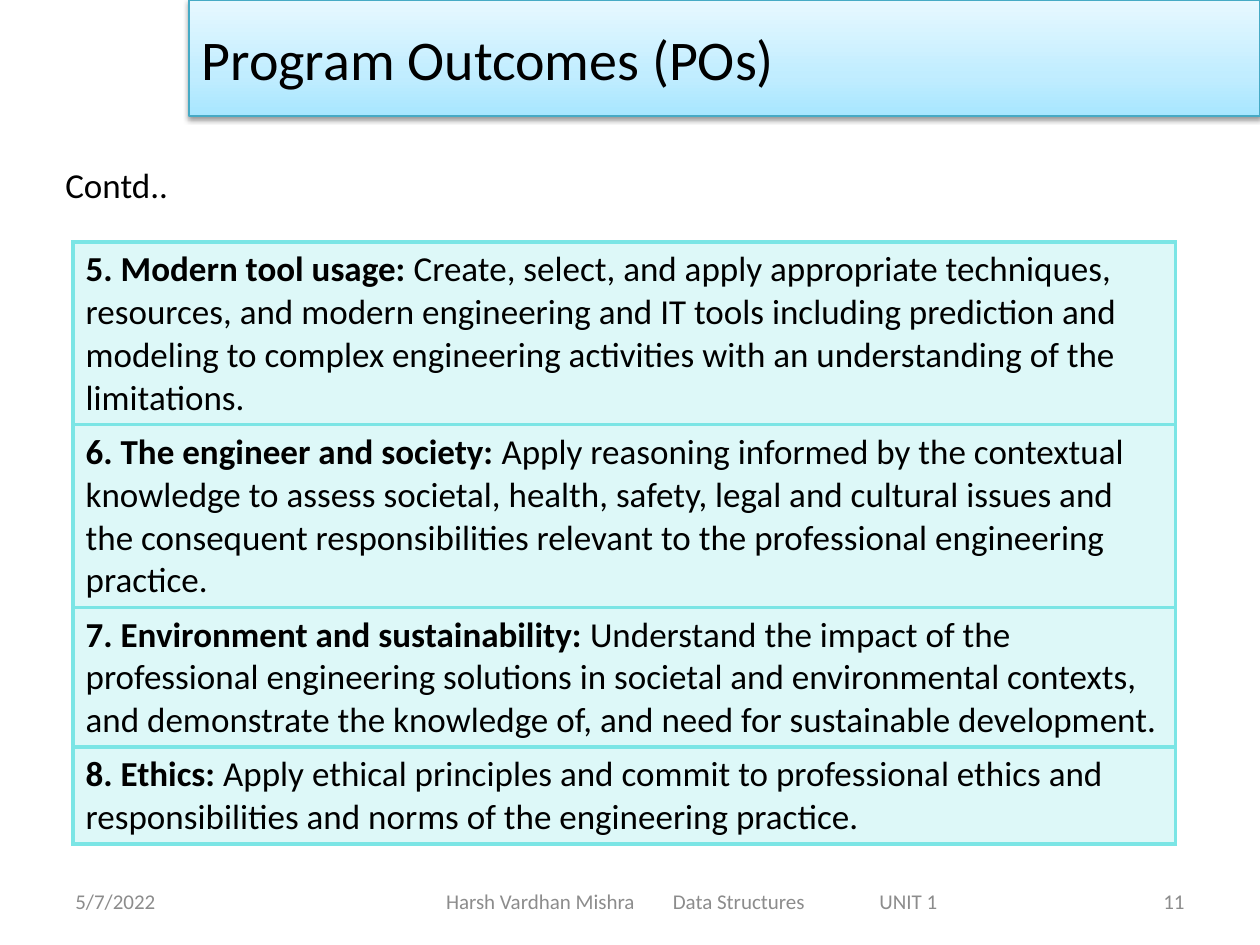
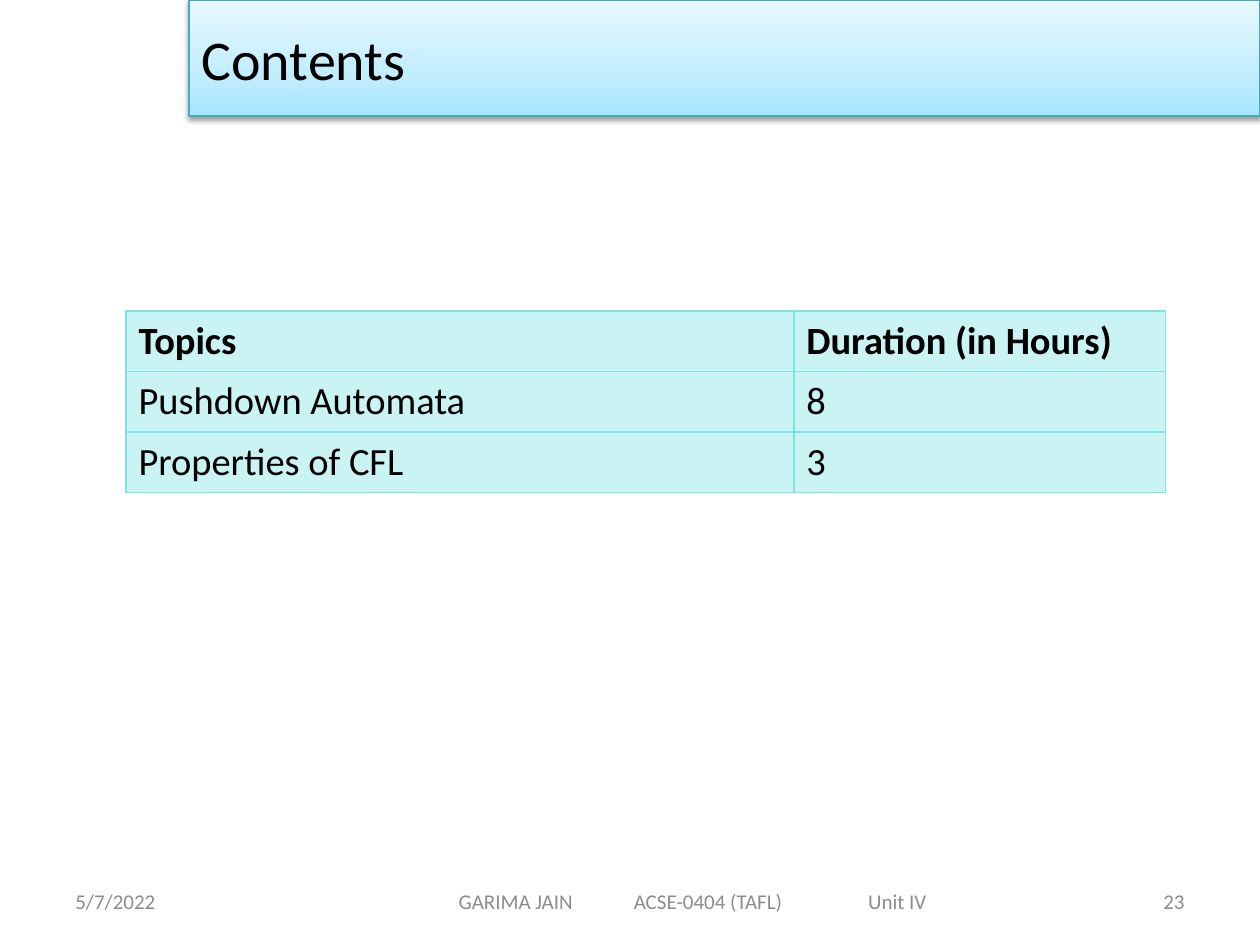
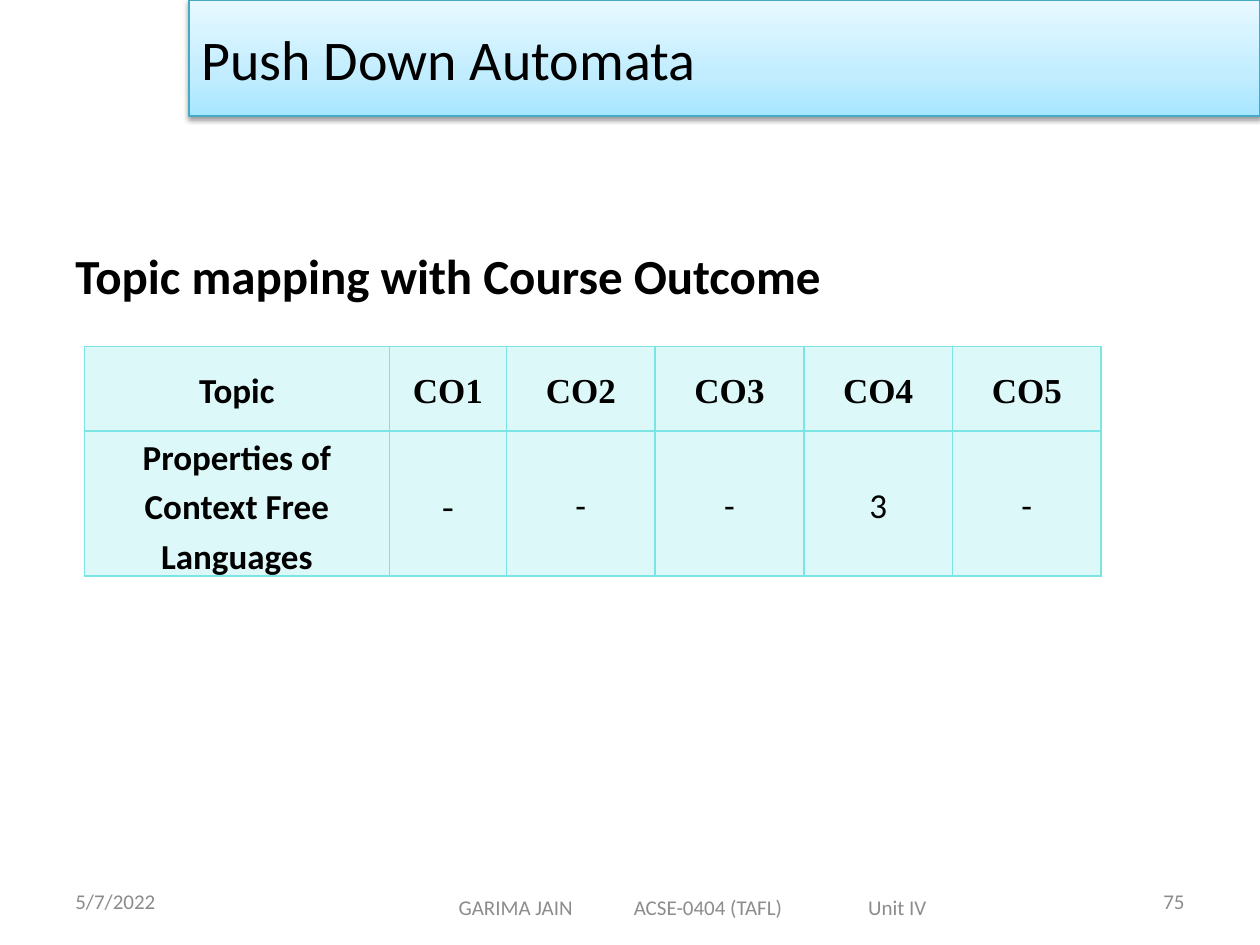
from dataclasses import dataclass

from pptx import Presentation
from pptx.dml.color import RGBColor
from pptx.enum.text import MSO_ANCHOR, MSO_AUTO_SIZE, PP_ALIGN
from pptx.oxml import parse_xml
from pptx.oxml.ns import nsdecls, qn
from pptx.util import Inches, Pt

# The page is a grid of 10 columns by 7.5 rows.
COLUMNS, ROWS = 10, 7.5
WIDTH, HEIGHT = Inches(10), Inches(7.5)
TITLE_ONLY = 5


@dataclass(frozen=True)
class Theme:
    font: str = "Calibri"
    code_font: str = "Times New Roman"
    ink: str = "000000"
    muted: str = "8C8C8C"
    aqua: str = "7BE5E5"
    band_line: str = "46AAC5"
    band_stops: tuple = ((0, "A7E6FF"), (35, "C1EDFF"), (100, "E7F8FF"))
    title_size: int = 32
    heading_size: int = 28
    contents_size: int = 22
    body_size: int = 20
    footer_size: int = 12


THEME = Theme()
DATE = "5/7/2022"
COURSE_FOOTER = (("GARIMA JAIN", "ACSE-0404 (TAFL)", "Unit IV"), (0.79, 2.18, 4.04))

OUTCOMES = [
    ("5. Modern tool usage: ",
     "Create, select, and apply appropriate techniques, resources, and modern engineering "
     "and IT tools including prediction and modeling to complex engineering activities "
     "with an understanding of the limitations."),
    ("6. The engineer and society:",
     " Apply reasoning informed by the contextual knowledge to assess societal, health, "
     "safety, legal and cultural issues and the consequent responsibilities relevant to "
     "the professional engineering practice."),
    ("7. Environment and sustainability: ",
     "Understand the impact of the professional engineering solutions in societal and "
     "environmental contexts, and demonstrate the knowledge of, and need for sustainable "
     "development."),
    ("8. Ethics:",
     " Apply ethical principles and commit to professional ethics and responsibilities "
     "and norms of the engineering practice."),
]
TOPICS = [
    ("Topics", "Duration (in Hours)"),
    ("Pushdown Automata", "8"),
    ("Properties of CFL", "3"),
]
MAPPING = [
    ("Topic", "CO1", "CO2", "CO3", "CO4", "CO5"),
    ("Properties of Context Free Languages", "-", "-", "-", "3", "-"),
]


def across(columns):
    return round(WIDTH * columns / COLUMNS)


def down(rows):
    return round(HEIGHT * rows / ROWS)


def style(span, size, bold=False, color=THEME.ink, font=THEME.font):
    span.font.name = font
    span.font.size = Pt(size)
    span.font.bold = bold
    span.font.color.rgb = RGBColor.from_string(color)


def add_label(page, text, left, top, width, height, size, bold=False,
              color=THEME.ink, align=PP_ALIGN.LEFT, anchor=MSO_ANCHOR.TOP, wrap=True):
    box = page.shapes.add_textbox(across(left), down(top), across(width), down(height))
    frame = box.text_frame
    frame.word_wrap = wrap
    frame.vertical_anchor = anchor
    para = frame.paragraphs[0]
    para.text = text
    para.alignment = align
    for span in para.runs:
        style(span, size, bold, color)
    return box


def add_title_band(page, text):
    title = page.shapes.title
    title.left, title.top, title.width, title.height = across(1.5), 0, across(8.5), down(0.92)
    stops = "".join(
        f'<a:gs pos="{share * 1000}"><a:srgbClr val="{color}"/></a:gs>'
        for share, color in THEME.band_stops)
    properties = title.element.spPr
    properties.append(parse_xml(
        f'<a:prstGeom {nsdecls("a")} prst="rect"><a:avLst/></a:prstGeom>'))
    properties.append(parse_xml(
        f'<a:gradFill {nsdecls("a")} rotWithShape="1"><a:gsLst>{stops}</a:gsLst>'
        '<a:lin ang="16200000" scaled="0"/></a:gradFill>'))
    title.line.color.rgb = RGBColor.from_string(THEME.band_line)
    title.line.width = Pt(0.75)
    properties.append(parse_xml(
        f'<a:effectLst {nsdecls("a")}><a:outerShdw blurRad="{Pt(3.1)}" dist="{Pt(1.6)}" '
        'dir="5400000" rotWithShape="0"><a:srgbClr val="000000"><a:alpha val="38000"/>'
        '</a:srgbClr></a:outerShdw></a:effectLst>'))
    frame = title.text_frame
    frame.text = text
    frame.auto_size = MSO_AUTO_SIZE.NONE
    frame.vertical_anchor = MSO_ANCHOR.MIDDLE
    frame.paragraphs[0].alignment = PP_ALIGN.LEFT
    style(frame.paragraphs[0].runs[0], THEME.title_size)


def add_footer(page, number, parts, starts, top=6.95):
    """Date, three footer parts set out by tab stops, and page number."""
    look = dict(size=THEME.footer_size, color=THEME.muted, anchor=MSO_ANCHOR.MIDDLE)
    add_label(page, DATE, 0.5, 6.95, 2.33, 0.4, **look)
    add_label(page, str(number), 7.17, 6.95, 2.33, 0.4, align=PP_ALIGN.RIGHT, **look)
    middle = add_label(page, "\t".join(parts), 2.75, top, 5.5, 0.4, **look)
    first, *others = starts
    middle.text_frame.margin_left = across(first + 0.1)
    tabs = "".join(f'<a:tab pos="{across(start - first)}" algn="l"/>' for start in others)
    properties = middle.text_frame.paragraphs[0]._p.get_or_add_pPr()
    properties.append(parse_xml(f'<a:tabLst {nsdecls("a")}>{tabs}</a:tabLst>'))


def paint_cell(cell, opacity, border):
    cell.fill.solid()
    cell.fill.fore_color.rgb = RGBColor.from_string(THEME.aqua)
    properties = cell._tc.get_or_add_tcPr()
    color = properties.find(qn("a:solidFill")).find(qn("a:srgbClr"))
    color.append(parse_xml(f'<a:alpha {nsdecls("a")} val="{opacity * 1000}"/>'))
    for index, side in enumerate("LRTB"):
        properties.insert(index, parse_xml(
            f'<a:ln{side} {nsdecls("a")} w="{Pt(border)}"><a:solidFill>'
            f'<a:srgbClr val="{THEME.aqua}"/></a:solidFill></a:ln{side}>'))


def add_grid(page, left, top, widths, heights, opacity=25, border=1):
    frame = page.shapes.add_table(len(heights), len(widths), across(left), down(top),
                                  across(sum(widths)), down(sum(heights)))
    table = frame.table
    table.first_row = table.horz_banding = False
    for column, width in zip(table.columns, widths):
        column.width = across(width)
    for row, height in zip(table.rows, heights):
        row.height = down(height)
    for cell in table.iter_cells():
        paint_cell(cell, opacity, border)
    return table


def fill_outcomes(table):
    for row, (heading, detail) in enumerate(OUTCOMES):
        para = table.cell(row, 0).text_frame.paragraphs[0]
        for text, bold in ((heading, True), (detail, False)):
            span = para.add_run()
            span.text = text
            style(span, THEME.body_size, bold)


def fill_topics(table):
    for row, texts in enumerate(TOPICS):
        for column, text in enumerate(texts):
            para = table.cell(row, column).text_frame.paragraphs[0]
            para.text = text
            style(para.runs[0], THEME.contents_size, bold=row == 0)


def fill_mapping(table):
    for row, texts in enumerate(MAPPING):
        for column, text in enumerate(texts):
            cell = table.cell(row, column)
            cell.vertical_anchor = MSO_ANCHOR.MIDDLE
            cell.margin_left = cell.margin_right = across(0.07)
            cell.margin_top = cell.margin_bottom = 0
            para = cell.text_frame.paragraphs[0]
            para.text = text
            para.alignment = PP_ALIGN.CENTER
            para.line_spacing = 1.15
            is_header, is_topic = row == 0, column == 0
            if not is_header and not is_topic:
                para.space_after = Pt(10)
            serif = column == 1 or is_header and not is_topic
            style(para.runs[0], THEME.body_size, bold=is_header or is_topic,
                  font=THEME.code_font if serif else THEME.font)


def add_page(deck, title):
    page = deck.slides.add_slide(deck.slide_layouts[TITLE_ONLY])
    add_title_band(page, title)
    return page


def add_outcomes_page(deck):
    page = add_page(deck, "Program Outcomes (POs)")
    add_label(page, "Contd..", 0.42, 1.25, 1.02, 0.44, THEME.body_size, wrap=False)
    fill_outcomes(add_grid(page, 0.58, 1.92, [8.75], [1.45, 1.45, 1.11, 0.77], border=2.25))
    add_footer(page, 11, ("Harsh Vardhan Mishra", "Data Structures", "UNIT 1"),
               (0.69, 2.49, 4.13))


def add_contents_page(deck):
    page = add_page(deck, "Contents")
    fill_topics(add_grid(page, 1, 2.47, [5.3, 2.95], [0.48] * 3, opacity=40))
    add_footer(page, 23, *COURSE_FOOTER)


def add_mapping_page(deck):
    page = add_page(deck, "Push Down Automata")
    add_label(page, "Topic mapping with Course Outcome", 0.5, 1.9, 9, 0.6,
              THEME.heading_size, bold=True)
    fill_mapping(add_grid(page, 0.67, 2.75, [2.42, 0.93] + [1.18] * 4, [0.67, 1.15]))
    add_footer(page, 75, *COURSE_FOOTER, top=7)


def main():
    deck = Presentation()
    deck.slide_width, deck.slide_height = WIDTH, HEIGHT
    add_outcomes_page(deck)
    add_contents_page(deck)
    add_mapping_page(deck)
    deck.save("out.pptx")


if __name__ == "__main__":
    main()
